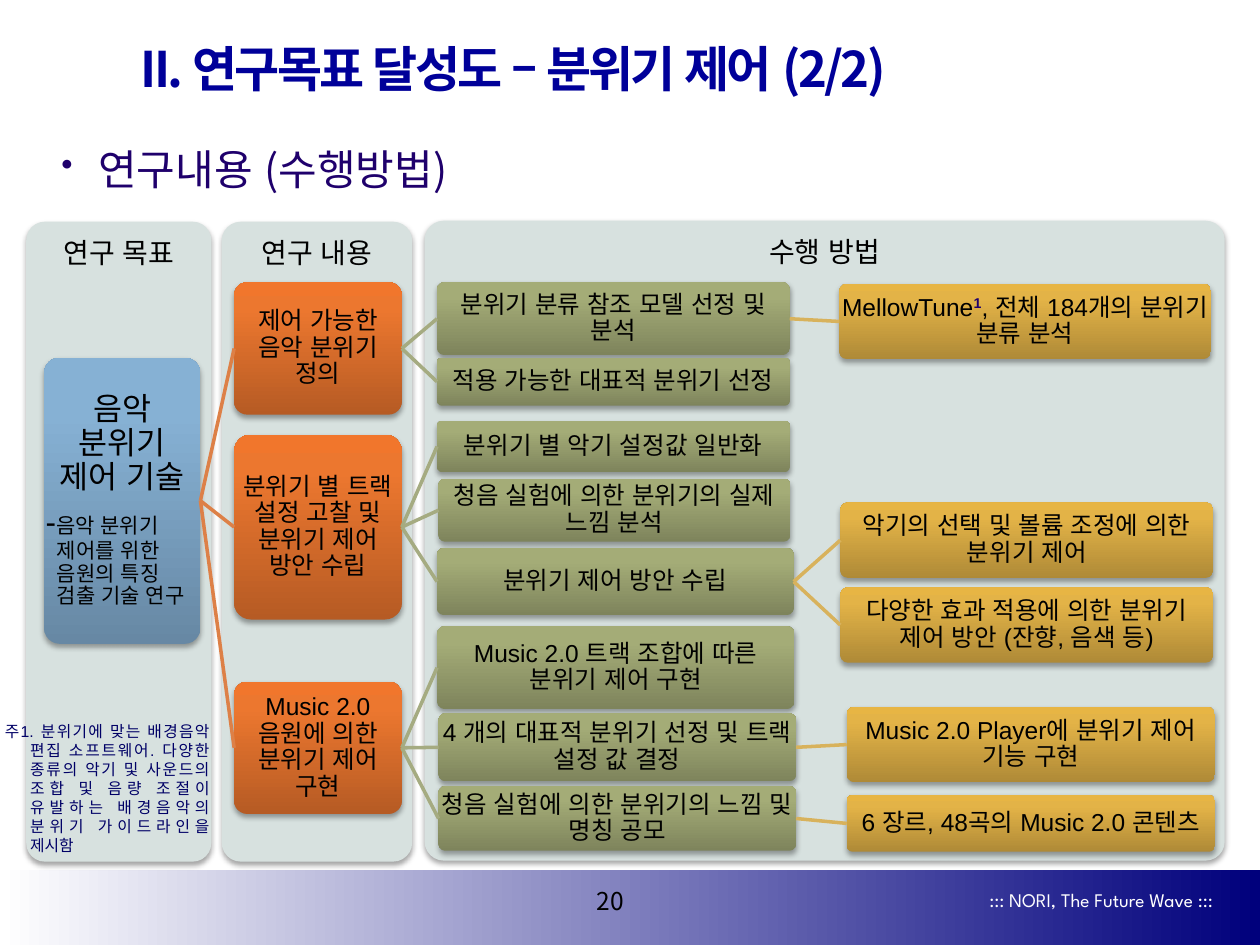
from copy import deepcopy

from pptx import Presentation
from pptx.dml.color import RGBColor
from pptx.enum.lang import MSO_LANGUAGE_ID
from pptx.enum.shapes import MSO_CONNECTOR, MSO_SHAPE
from pptx.enum.text import MSO_ANCHOR, PP_ALIGN
from pptx.oxml import parse_xml
from pptx.oxml.ns import nsdecls, qn
from pptx.util import Cm, Pt

BLACK = RGBColor(0x00, 0x00, 0x00)
WHITE = RGBColor(0xFF, 0xFF, 0xFF)
NAVY = RGBColor(0x00, 0x00, 0x7C)
TITLE_BLUE = RGBColor(0x00, 0x00, 0x99)
NOTE_BLUE = RGBColor(0x00, 0x00, 0x66)
VIOLET = RGBColor(0x1F, 0x00, 0x6C)
PANEL_GRAY = RGBColor(0xD7, 0xE1, 0xDF)
# Gradient colours of each card level, from bottom to top
CARD_COLORS = [
    (RGBColor(0x67, 0x88, 0xA4), RGBColor(0x86, 0xB1, 0xD4), RGBColor(0x86, 0xB2, 0xD7)),
    (RGBColor(0xB6, 0x5B, 0x24), RGBColor(0xEC, 0x77, 0x2F), RGBColor(0xF1, 0x76, 0x2C)),
    (RGBColor(0x7E, 0x84, 0x5C), RGBColor(0xA4, 0xAC, 0x77), RGBColor(0xA6, 0xAE, 0x76)),
    (RGBColor(0xAF, 0x8A, 0x37), RGBColor(0xE3, 0xB3, 0x47), RGBColor(0xE7, 0xB5, 0x44)),
]
# Colour of the lines that lead into each level
LINE_COLORS = [None, RGBColor(0xDD, 0x80, 0x47), RGBColor(0xA5, 0xAB, 0x81),
               RGBColor(0xD8, 0xB2, 0x5C)]
SANS = "Arial"
KOREAN = "Noto Sans CJK KR"

deck = Presentation()
deck.slide_width, deck.slide_height = Cm(25.4), Cm(19.05)
page = deck.slides.add_slide(deck.slide_layouts[6])


def write(text, at=None, box=None, size=14, color=BLACK, font=SANS, bold=False,
          align=PP_ALIGN.CENTER, anchor=MSO_ANCHOR.MIDDLE, inset=None, hanging=0,
          bullet=None, line_spacing=None, after=0, tracking=0):
    """Write one paragraph in a new box at `at`, or add it to `box`.

    Text is a string, or a list of (string, changed formats)."""
    if box is None:
        box = page.shapes.add_textbox(*map(Cm, at))
        frame = box.text_frame
        frame.word_wrap = True
        frame.vertical_anchor = anchor
        if inset is not None:
            frame.margin_left = frame.margin_right = Cm(inset)
            frame.margin_top = frame.margin_bottom = Cm(inset)
        para = frame.paragraphs[0]
    else:
        para = box.text_frame.add_paragraph()
    para.alignment = align
    para.line_spacing = line_spacing
    para.space_after = Pt(after)
    properties = para._p.get_or_add_pPr()
    if hanging:
        properties.set("marL", str(Cm(hanging)))
        properties.set("indent", str(-Cm(hanging)))
    if bullet:
        properties.append(parse_xml(f'<a:buSzPct {nsdecls("a")} val="80000"/>'))
        properties.append(parse_xml(f'<a:buChar {nsdecls("a")} char="{bullet}"/>'))
    for words, changes in [(text, {})] if isinstance(text, str) else text:
        span = para.add_run()
        span.text = words
        span.font.size = Pt(changes.get("size", size))
        span.font.bold = changes.get("bold", bold)
        span.font.color.rgb = changes.get("color", color)
        span.font.name = font
        span.font.language_id = MSO_LANGUAGE_ID.KOREAN
        run_format = span._r.get_or_add_rPr()
        run_format.find(qn("a:latin")).addnext(
            parse_xml(f'<a:ea {nsdecls("a")} typeface="{KOREAN}"/>'))
        if tracking:
            run_format.set("spc", str(int(tracking * 100)))
        if "baseline" in changes:
            run_format.set("baseline", str(changes["baseline"] * 1000))
    return box


def add_panel(at, radius=0.1, gradient=None):
    """Add a rounded panel with a soft shadow, gray or with a three-colour gradient."""
    panel = page.shapes.add_shape(MSO_SHAPE.ROUNDED_RECTANGLE, *map(Cm, at))
    panel.adjustments[0] = radius
    panel.line.fill.background()
    if gradient:
        panel.fill.gradient()
        panel.fill.gradient_angle = 90
        last = panel._element.spPr.findall(".//" + qn("a:gs"))[-1]
        last.addprevious(deepcopy(last))
        for stop, position, color in zip(panel.fill.gradient_stops, (0, 0.8, 1), gradient):
            stop.position = position
            stop.color.rgb = color
    else:
        panel.fill.solid()
        panel.fill.fore_color.rgb = PANEL_GRAY
    panel.shadow.inherit = False
    panel._element.spPr.find(qn("a:effectLst")).append(parse_xml(
        f'<a:outerShdw {nsdecls("a")} blurRad="{Pt(3.1)}" dist="{Pt(1.8)}" dir="5400000" '
        'rotWithShape="0"><a:srgbClr val="000000"><a:alpha val="35000"/></a:srgbClr>'
        '</a:outerShdw>'))
    return panel


# Footer band
band = page.shapes.add_shape(MSO_SHAPE.RECTANGLE, Cm(0), Cm(17.53), Cm(25.4), Cm(1.52))
band.line.fill.background()
band.shadow.inherit = False
band.fill.gradient()
band.fill.gradient_angle = 0
for stop, color in zip(band.fill.gradient_stops, (WHITE, NAVY)):
    stop.color.rgb = color
write("::: NORI, The Future Wave :::", (19.33, 17.78, 5.38, 0.71), size=11, color=WHITE,
      font="League Spartan", align=PP_ALIGN.RIGHT)
write("20", (11.51, 17.73, 1.6, 0.84), font=KOREAN)

# Title and heading
write("II. 연구목표 달성도 – 분위기 제어 (2/2)", (2.59, 0.58, 19.84, 1.57), size=28,
      color=TITLE_BLUE, font=KOREAN, bold=True, align=PP_ALIGN.LEFT, tracking=-1.5)
write("연구내용 (수행방법)", (0.99, 2.77, 23.72, 14.1), size=24, color=VIOLET, font=KOREAN,
      align=PP_ALIGN.LEFT, anchor=MSO_ANCHOR.TOP, hanging=0.74, bullet="•")

# Column panels with their headings
for left, top, width, radius, heading in [
    (0.53, 4.47, 3.73, 0.1, "연구 목표"),
    (4.47, 4.47, 3.84, 0.1, "연구 내용"),
    (8.56, 4.45, 16.13, 0.03, "수행 방법"),
]:
    add_panel((left, top, width, 12.9), radius)
    write(heading, (left, top, width, 1.33), size=16, inset=0.41, line_spacing=0.9, after=5.6)

# Tree of cards: level, place, text; each card hangs on the last one a level above
cards = [
    (0, (0.89, 7.21, 3.15, 5.77), "음악 분위기 제어 기술"),
    (1, (4.72, 5.69, 3.38, 2.67), "제어 가능한 음악 분위기 정의"),
    (2, (8.81, 5.69, 7.11, 1.47), "분위기 분류 참조 모델 선정 및 분석"),
    (3, (16.92, 5.72, 7.49, 1.52), [
        ("MellowTune", {}),
        ("1", {"color": VIOLET, "bold": True, "baseline": 30}),
        (", 전체 184개의 분위기 분류 분석", {})]),
    (2, (8.81, 7.21, 7.11, 0.97), "적용 가능한 대표적 분위기 선정"),
    (1, (4.72, 8.76, 3.38, 3.73), "분위기 별 트랙 설정 고찰 및 분위기 제어 방안 수립"),
    (2, (8.81, 8.48, 7.11, 1.04), "분위기 별 악기 설정값 일반화"),
    (2, (8.84, 9.65, 7.09, 1.27), "청음 실험에 의한 분위기의 실제 느낌 분석"),
    (2, (8.81, 11.05, 7.19, 1.35), "분위기 제어 방안 수립"),
    (3, (16.94, 10.13, 7.52, 1.52), "악기의 선택 및 볼륨 조정에 의한 분위기 제어"),
    (3, (16.94, 11.84, 7.52, 1.52), "다양한 효과 적용에 의한 분위기 제어 방안 (잔향, 음색 등)"),
    (1, (4.72, 13.74, 3.38, 2.67), "Music 2.0 음원에 의한 분위기 제어 구현"),
    (2, (8.81, 12.62, 7.21, 1.68), "Music 2.0 트랙 조합에 따른 분위기 제어 구현"),
    (2, (8.84, 14.38, 7.21, 1.37), "4 개의 대표적 분위기 선정 및 트랙 설정 값 결정"),
    (3, (17.07, 14.25, 7.42, 1.52), "Music 2.0 Player에 분위기 제어 기능 구현"),
    (2, (8.84, 15.85, 7.21, 1.3), "청음 실험에 의한 분위기의 느낌 및 명칭 공모"),
    (3, (17.07, 16.03, 7.42, 1.14), "6 장르, 48곡의 Music 2.0 콘텐츠"),
]
latest = {}
for level, at, text in cards:
    card = latest[level] = add_panel(at, gradient=CARD_COLORS[level])
    size = 14 if level else 18
    label = write(text, at, size=size, inset=0.03, line_spacing=0.9, after=size * 0.35)
    if level == 0:
        write([("-", {}), ("음악 분위기 제어를 위한 음원의 특징 검출 기술 연구", {"size": 12})],
              box=label, size=size, align=PP_ALIGN.LEFT, hanging=0.23,
              line_spacing=0.9, after=size * 0.35)
        continue
    branch = page.shapes.add_connector(MSO_CONNECTOR.STRAIGHT, 0, 0, 0, 0)
    branch.begin_connect(latest[level - 1], 3)
    branch.end_connect(card, 1)
    branch.line.color.rgb = LINE_COLORS[level]
    branch.line.width = Pt(2)
    branch._element.spPr.append(parse_xml(f'<a:effectLst {nsdecls("a")}/>'))

# Footnote
write("주1. 분위기에 맞는 배경음악 편집 소프트웨어. 다양한 종류의 악기 및 사운드의 조합 및 음량 조절이 "
      "유발하는 배경음악의 분위기 가이드라인을 제시함", (-0.15, 14.43, 4.62, 2.95), size=9,
      color=NOTE_BLUE, align=PP_ALIGN.JUSTIFY, anchor=MSO_ANCHOR.TOP, hanging=0.51)

deck.save("out.pptx")
